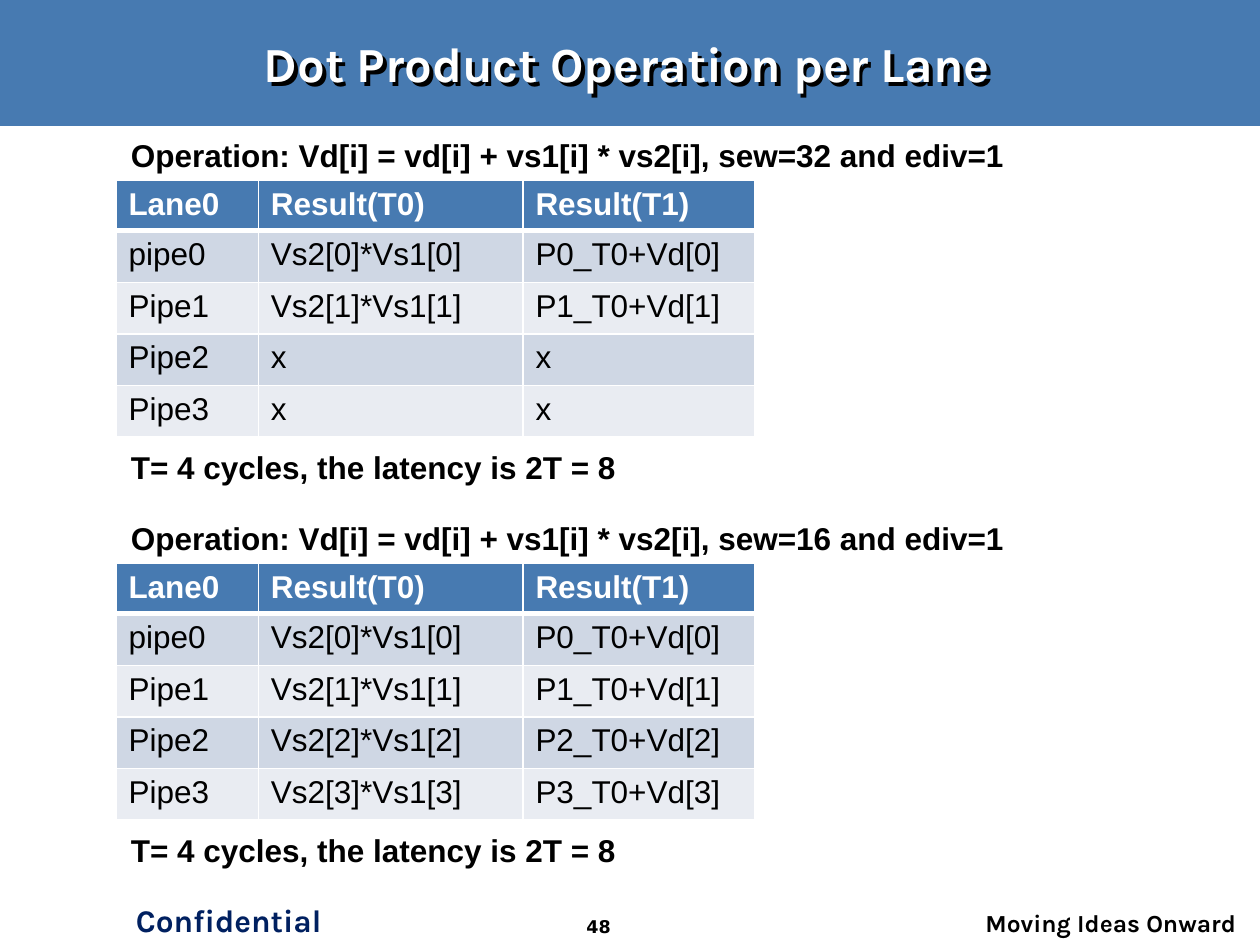
from lxml import etree
from pptx import Presentation
from pptx.dml.color import RGBColor
from pptx.enum.shapes import MSO_SHAPE
from pptx.enum.text import MSO_ANCHOR, PP_ALIGN
from pptx.oxml import parse_xml
from pptx.oxml.ns import qn
from pptx.util import Inches, Pt

LEFT, CENTER, RIGHT = PP_ALIGN.LEFT, PP_ALIGN.CENTER, PP_ALIGN.RIGHT
MIDDLE = MSO_ANCHOR.MIDDLE
RECT = MSO_SHAPE.RECTANGLE
BLUE = RGBColor(0x47, 0x7A, 0xB1)
NAVY = RGBColor(0x00, 0x20, 0x60)
WHITE = RGBColor(0xFF, 0xFF, 0xFF)
BLACK = RGBColor(0x00, 0x00, 0x00)
BAND_DARK = RGBColor(0xCF, 0xD7, 0xE4)
BAND_LIGHT = RGBColor(0xE9, 0xEC, 0xF2)
NS = "http://schemas.openxmlformats.org/drawingml/2006/main"


def write(tf, text, color, align=LEFT, **font):
    p = tf.paragraphs[0]
    p.alignment = align
    r = p.add_run()
    r.text = text
    r.font.color.rgb = color
    for name, value in {"name": "Arial", "size": Pt(18), "bold": True, **font}.items():
        setattr(r.font, name, value)


def add_text(box, text, color=BLACK, align=LEFT, **font):
    tf = s.shapes.add_textbox(*map(Inches, box)).text_frame
    tf.word_wrap = True
    write(tf, text, color, align, **font)


prs = Presentation()
prs.slide_width, prs.slide_height = Inches(10), Inches(7.5)
s = prs.slides.add_slide(prs.slide_layouts[5])

title = s.shapes.title
band = s.shapes.add_shape(RECT, 0, 0, Inches(10), Inches(1))
band.shadow.inherit = False
band.fill.solid()
band.fill.fore_color.rgb = BLUE
band.line.fill.background()
title._element.addprevious(band._element)

title.left, title.top = Inches(0.22), Inches(0.17)
title.width, title.height = Inches(9.51), Inches(0.66)
title.text_frame.vertical_anchor = MIDDLE
write(title.text_frame, "Dot Product Operation per Lane", WHITE, CENTER, name="Karla", size=Pt(28))
title.fill.background()
title._element.spPr.append(parse_xml(
    f'<a:effectLst xmlns:a="{NS}"><a:outerShdw dist="38100" dir="2700000">'
    '<a:srgbClr val="000000"/></a:outerShdw></a:effectLst>'))

add_text((0.94, 7.1, 1.75, 0.42), "Confidential", NAVY, CENTER, name="Karla")
add_text((7.54, 7.16, 2.37, 0.27), "Moving Ideas Onward", BLACK, RIGHT, name="Karla", size=Pt(14))
add_text((4.29, 7.22, 0.92, 0.28), "48", BLACK, CENTER, name="DejaVu Sans", size=Pt(10))

HEADER = ["Lane0", "Result(T0)", "Result(T1)"]
PIPES = ["pipe0", "Pipe1", "Pipe2", "Pipe3"]
WIDTHS = [1.13, 2.1, 1.84]
HEIGHTS = [0.3, 0.41, 0.41, 0.41, 0.41]

for sew, active, operation_top, table_top, latency_top in [
    (32, 2, 1.03, 1.43, 3.51),
    (16, 4, 4.07, 4.47, 6.55),
]:
    rows = [HEADER]
    for i, pipe in enumerate(PIPES):
        results = [f"Vs2[{i}]*Vs1[{i}]", f"P{i}_T0+Vd[{i}]"] if i < active else ["x", "x"]
        rows.append([pipe, *results])

    frame = s.shapes.add_table(len(rows), len(HEADER), Inches(0.92), Inches(table_top),
                               Inches(sum(WIDTHS)), Inches(sum(HEIGHTS)))
    table = frame.table
    for column, width in zip(table.columns, WIDTHS):
        column.width = Inches(width)
    for i, (row, height) in enumerate(zip(rows, HEIGHTS)):
        table.rows[i].height = Inches(height)
        for j, text in enumerate(row):
            cell = table.cell(i, j)
            write(cell.text_frame, text, BLACK if i else WHITE, bold=i == 0)
            tcPr = cell._tc.get_or_add_tcPr()
            for side in "LRTB":
                thick = (i, side) in [(0, "B"), (1, "T")]
                ln = etree.SubElement(tcPr, qn(f"a:ln{side}"), w=str(Pt(3 if thick else 1)))
                fill = etree.SubElement(ln, qn("a:solidFill"))
                etree.SubElement(fill, qn("a:srgbClr"), val=str(WHITE))
            cell.fill.solid()
            cell.fill.fore_color.rgb = BLUE if i == 0 else BAND_DARK if i % 2 else BAND_LIGHT

    add_text((0.94, latency_top, 5.01, 0.4), "T= 4 cycles, the latency is 2T = 8")
    add_text((0.94, operation_top, 8.82, 0.4),
             f"Operation: Vd[i] = vd[i] + vs1[i] * vs2[i], sew={sew} and ediv=1")

prs.save("out.pptx")
